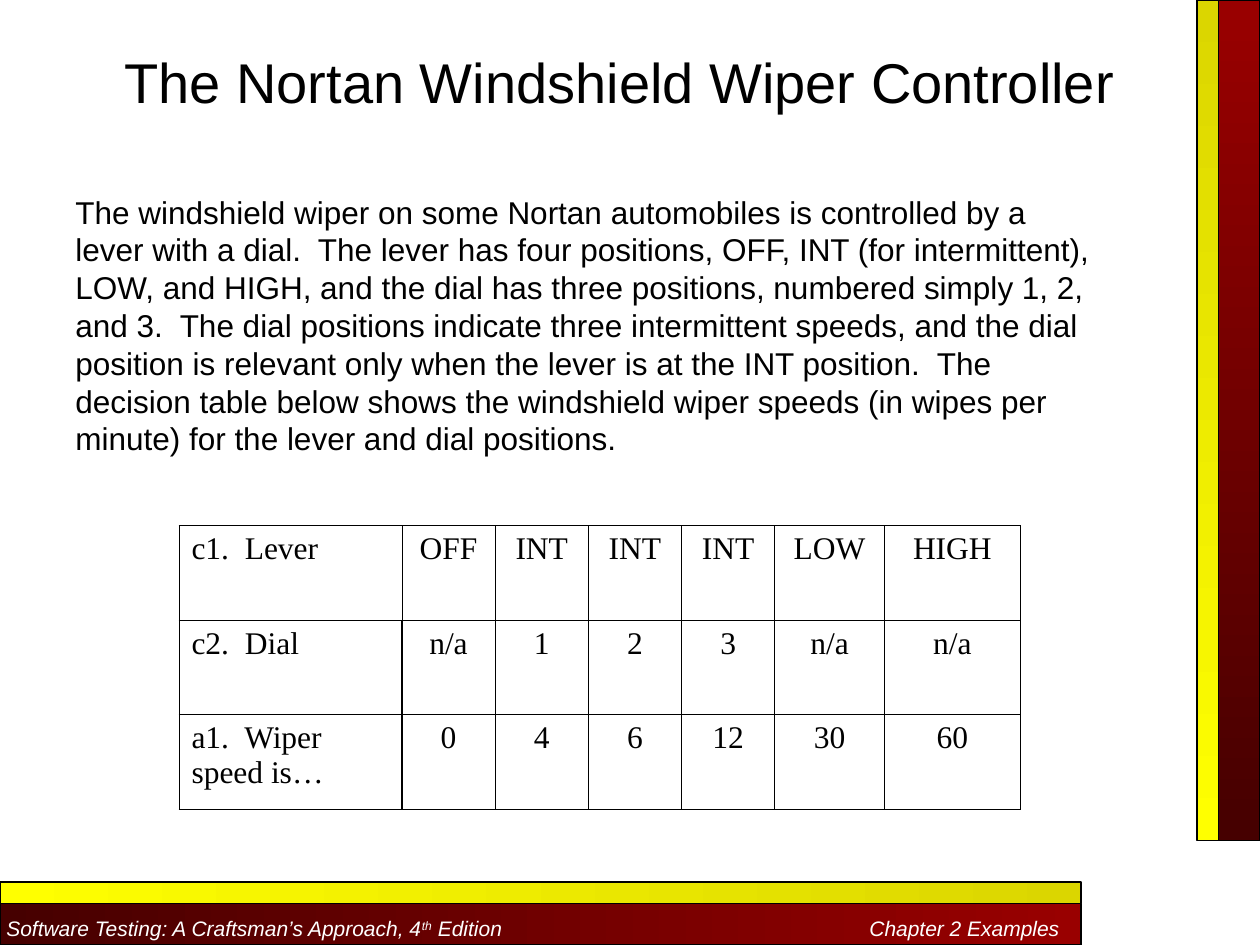
"""Build the windshield wiper controller slide with its decision table."""
from lxml import etree
from pptx import Presentation
from pptx import util as u
from pptx.dml.color import RGBColor
from pptx.enum import shapes, text
from pptx.oxml import ns

HUES = {"ink": "000000", "white": "FFFFFF", "red": "990000", "wine": "460000",
        "gold": "DBD600", "yellow": "FFFF00"}

BARS = [
    ((9.67, 0, 0.33, 6.67), ("red", "wine"), 270),
    ((0, 7.17, 8.58, 0.33), ("wine", "red"), 0),
    ((9.5, 0, 0.17, 6.67), ("gold", "yellow"), 270),
    ((0, 7, 8.58, 0.17), ("yellow", "gold"), 0),
]
FOOT = ["Software Testing: A Craftsman’s Approach, 4", "th", " Edition\tChapter 2 Examples"]
TITLE = "The Nortan Windshield Wiper Controller"
BODY = (
    "The windshield wiper on some Nortan automobiles is controlled by a lever with a dial.  "
    "The lever has four positions, OFF, INT (for intermittent), LOW, and HIGH, and the dial "
    "has three positions, numbered simply 1, 2, and 3.  The dial positions indicate three "
    "intermittent speeds, and the dial position is relevant only when the lever is at the INT "
    "position.  The decision table below shows the windshield wiper speeds (in wipes per "
    "minute) for the lever and dial positions."
)
ROWS = [
    ["c1.  Lever", "OFF", "INT", "INT", "INT", "LOW", "HIGH"],
    ["c2.  Dial", "n/a", "1", "2", "3", "n/a", "n/a"],
    ["a1.  Wiper speed is…", "0", "4", "6", "12", "30", "60"],
]
COLS = [1.77, 0.74, 0.74, 0.74, 0.74, 0.87, 1.08]
HIGH = 0.75
THIN, THICK = 0.45, 0.96


def hue(name):
    return RGBColor.from_string(HUES[name])


def box(vals):
    return [u.Inches(v) for v in vals]


def style(run, size, face="Arial", tint="ink"):
    run.font.size = u.Pt(size)
    run.font.name = face
    run.font.color.rgb = hue(tint)


def add_bar(slide, place, tints, angle):
    bar = slide.shapes.add_shape(shapes.MSO_SHAPE.RECTANGLE, *box(place))
    bar.shadow.inherit = False
    bar.fill.gradient()
    bar.fill.gradient_angle = angle
    for stop, tint in zip(bar.fill.gradient_stops, tints):
        stop.color.rgb = hue(tint)
    bar.line.color.rgb = hue("ink")
    bar.line.width = u.Pt(0.75)
    return bar


def add_foot(bar):
    frame = bar.text_frame
    frame.word_wrap = False
    frame.vertical_anchor = text.MSO_ANCHOR.MIDDLE
    frame.margin_left = frame.margin_right = u.Inches(0.05)
    frame.margin_top, frame.margin_bottom = box((0.07, 0))
    para = frame.paragraphs[0]
    para.alignment = text.PP_ALIGN.LEFT
    for part in FOOT:
        run = para.add_run()
        run.text = part
        style(run, 12, tint="white")
        run.font.italic = True
    para.runs[1].font._element.set("baseline", "30000")
    tabs = etree.SubElement(para._p.get_or_add_pPr(), ns.qn("a:tabLst"))
    etree.SubElement(tabs, ns.qn("a:tab"), pos=str(u.Inches(8.36)), algn="r")


def add_text(slide, place, words, size, align):
    frame = slide.shapes.add_textbox(*box(place)).text_frame
    frame.word_wrap = True
    frame.text = words
    para = frame.paragraphs[0]
    para.alignment = align
    style(para.runs[0], size)


def add_edges(cell, widths):
    props = cell._tc.get_or_add_tcPr()
    for spot, (side, width) in enumerate(zip("LRTB", widths)):
        edge = etree.Element(ns.qn("a:ln" + side), w=str(u.Pt(width)))
        fill = etree.SubElement(edge, ns.qn("a:solidFill"))
        etree.SubElement(fill, ns.qn("a:srgbClr"), val=HUES["ink"])
        props.insert(spot, edge)


def add_grid(slide):
    place = (1.42, 4.17, sum(COLS), HIGH * len(ROWS))
    grid = slide.shapes.add_table(len(ROWS), len(COLS), *box(place)).table
    grid.first_row = grid.horz_banding = False
    for col, width in zip(grid.columns, COLS):
        col.width = u.Inches(width)
    for r, row in enumerate(ROWS):
        grid.rows[r].height = u.Inches(HIGH)
        for c, words in enumerate(row):
            cell = grid.cell(r, c)
            cell.fill.background()
            cell.text = words
            para = cell.text_frame.paragraphs[0]
            para.alignment = text.PP_ALIGN.CENTER if c else text.PP_ALIGN.LEFT
            style(para.runs[0], 18, "Times New Roman")
            heavy = (r > 0 and c == 1, r > 0 and c == 0, r == 2, r == 1)
            add_edges(cell, [THICK if h else THIN for h in heavy])


def main():
    deck = Presentation()
    deck.slide_width, deck.slide_height = box((10, 7.5))
    slide = deck.slides.add_slide(deck.slide_layouts[6])
    bars = [add_bar(slide, *bar) for bar in BARS]
    add_foot(bars[1])
    add_text(slide, (0.42, 0.33, 9, 0.67), TITLE, 32, text.PP_ALIGN.CENTER)
    add_text(slide, (0.5, 1.48, 8.33, 2.5), BODY, 18, text.PP_ALIGN.LEFT)
    add_grid(slide)
    deck.save("out.pptx")


if __name__ == "__main__":
    main()
